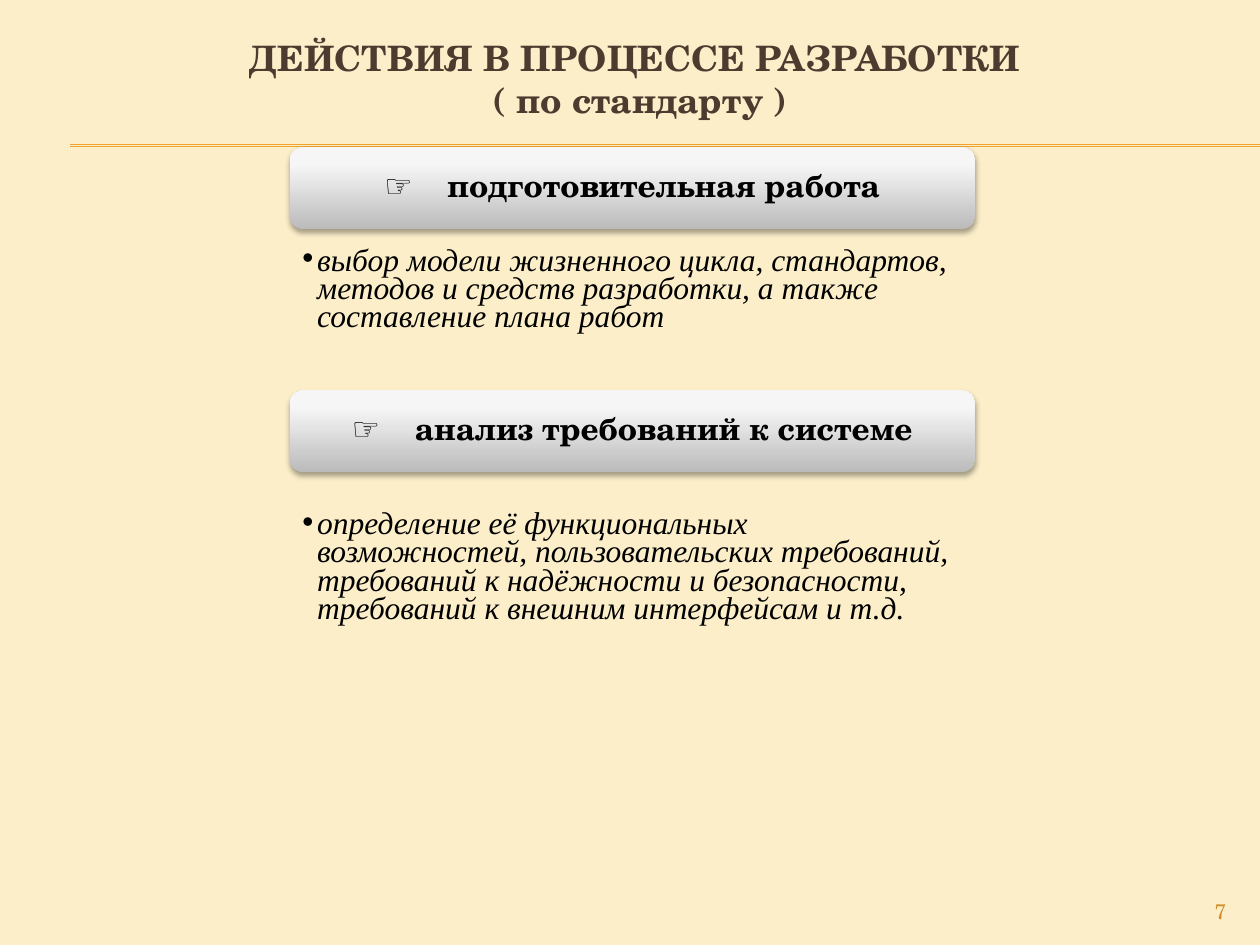
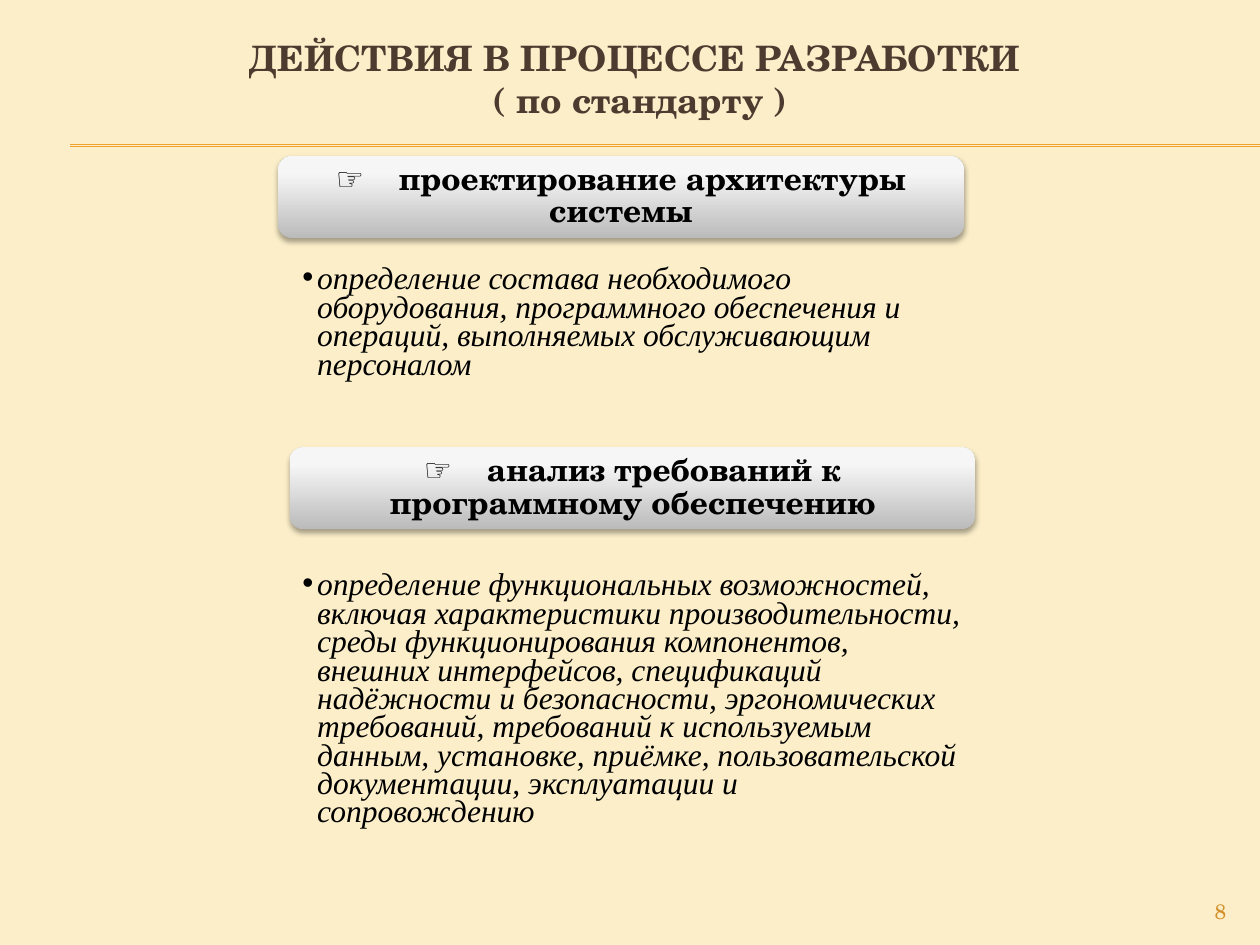
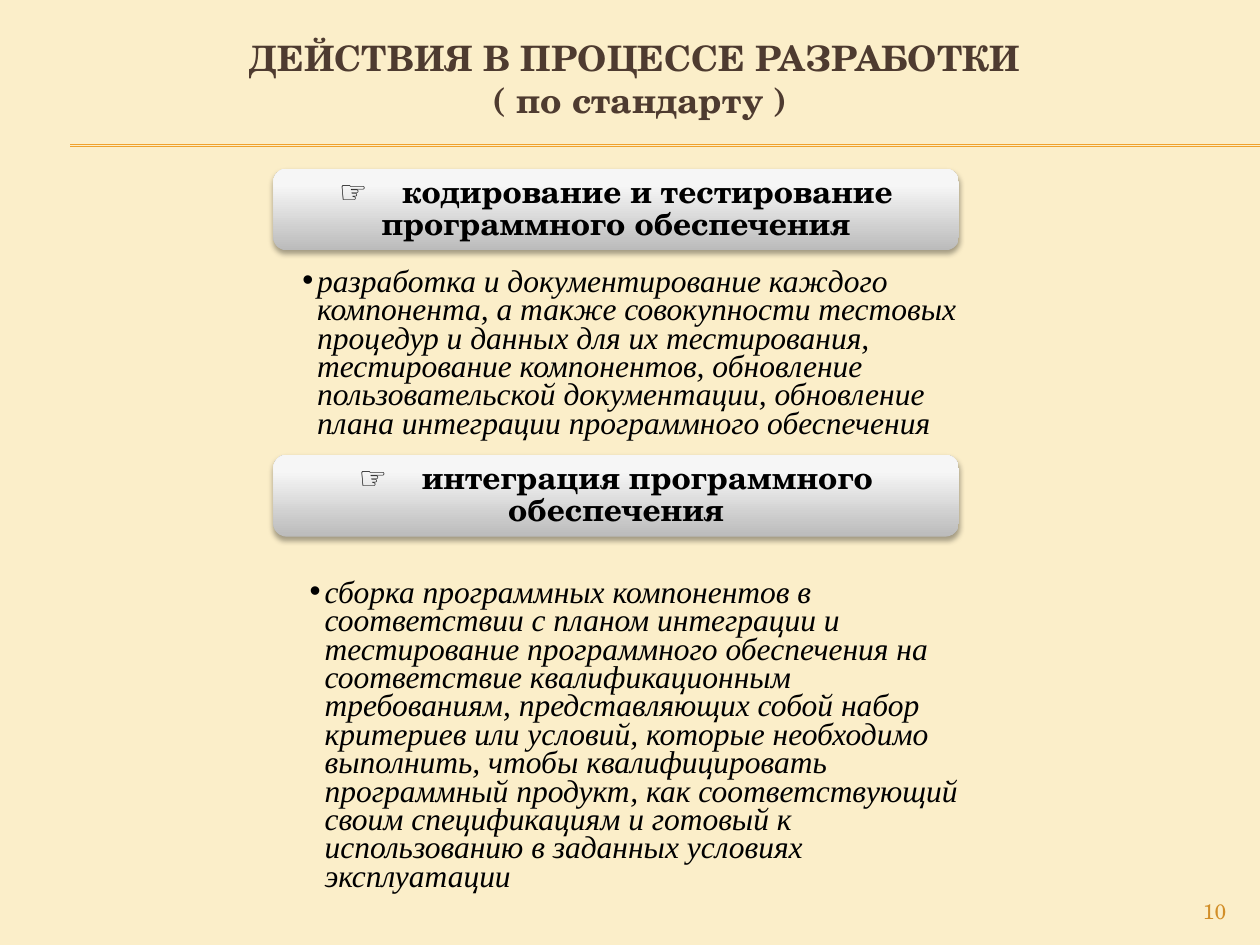
"""Builds three slides on the activities of the development process."""
from pptx import Presentation
from pptx.dml.color import RGBColor
from pptx.enum.shapes import MSO_CONNECTOR, MSO_SHAPE
from pptx.enum.text import MSO_ANCHOR, MSO_AUTO_SIZE, PP_ALIGN
from pptx.oxml import parse_xml
from pptx.oxml.ns import nsdecls
from pptx.util import Cm, Pt

COLORS = {
    "background": "FBEEC9",
    "rule": "F0A22E",
    "number": "D28E28",
    "title": "4E3B30",
    "text": "000000",
    "shadow": "000000",
    "band_dark": "BBBBBB",
    "band_light": "F6F6F6",
    "band_edge": "F7F7F7",
}
SERIF = "TeX Gyre Schola"
ROMAN = "Times New Roman"
TITLE = "ДЕЙСТВИЯ В ПРОЦЕССЕ РАЗРАБОТКИ \v( по стандарту )"
BAND_WIDTH, BAND_HEIGHT = 13.82, 1.65

SLIDES = [
    (7, [
        ("подготовительная работа", (5.84, 2.97),
         "выбор модели жизненного цикла, стандартов, методов и средств "
         "разработки, а также составление плана работ", (5.84, 4.88, 1.65)),
        ("анализ требований к системе", (5.84, 7.87),
         "определение её функциональных возможностей, пользовательских "
         "требований, требований к надёжности и безопасности, требований "
         "к внешним интерфейсам и т.д.", (5.84, 10.19, 1.65)),
    ]),
    (8, [
        ("проектирование архитектуры системы", (5.61, 3.15),
         "определение состава необходимого оборудования, программного "
         "обеспечения и операций, выполняемых обслуживающим персоналом",
         (5.84, 5.26, 2.46)),
        ("анализ требований к программному обеспечению", (5.84, 9.02),
         "определение функциональных возможностей, включая характеристики "
         "производительности, среды функционирования компонентов, внешних "
         "интерфейсов, спецификаций надёжности и безопасности, "
         "эргономических требований, требований к используемым данным, "
         "установке, приёмке, пользовательской документации, эксплуатации "
         "и сопровождению", (5.84, 11.43, 5.46)),
    ]),
    (10, [
        ("кодирование и тестирование программного обеспечения", (5.51, 3.4),
         "разработка и документирование каждого компонента, а также "
         "совокупности тестовых процедур и данных для их тестирования, "
         "тестирование компонентов, обновление пользовательской "
         "документации, обновление плана интеграции программного "
         "обеспечения", (5.84, 5.31, 1.65)),
        ("интеграция программного обеспечения", (5.51, 9.17),
         "сборка программных компонентов в соответствии с планом "
         "интеграции и тестирование программного обеспечения на "
         "соответствие квалификационным требованиям, представляющих собой "
         "набор критериев или условий, которые необходимо выполнить, чтобы "
         "квалифицировать программный продукт, как соответствующий своим "
         "спецификациям и готовый к использованию в заданных условиях "
         "эксплуатации", (5.99, 11.58, 1.65)),
    ]),
]


class Deck:
    """Holds the shared style and the current slide."""

    def __init__(self):
        self.presentation = Presentation()
        self.presentation.slide_width = Cm(25.4)
        self.presentation.slide_height = Cm(19.05)
        fill = self.presentation.slide_master.background.fill
        fill.solid()
        fill.fore_color.rgb = self.color("background")
        self.slide = None

    def color(self, name):
        """Returns a named colour."""
        return RGBColor.from_string(COLORS[name])

    def place(self, shape, left, top, width, height):
        """Moves and sizes a shape, in centimetres."""
        shape.left, shape.top = Cm(left), Cm(top)
        shape.width, shape.height = Cm(width), Cm(height)

    def format(self, paragraph, size, color, font=SERIF, align=PP_ALIGN.CENTER, spacing=1.0):
        """Sets the font, alignment and spacing of a paragraph."""
        paragraph.font.size = Pt(size)
        paragraph.font.name = font
        paragraph.font.color.rgb = self.color(color)
        paragraph.alignment = align
        paragraph.line_spacing = spacing
        paragraph.space_before = paragraph.space_after = Pt(0)

    def add_slide(self, number):
        """Starts a slide with its rules, number and title."""
        layout = self.presentation.slide_layouts.get_by_name("Two Content")
        self.slide = self.presentation.slides.add_slide(layout)
        for top in (2.92, 2.95):
            self.add_rule(top)
        self.add_number(number)
        self.add_title(TITLE)

    def add_rule(self, top):
        """Draws a rule that runs to the right edge."""
        rule = self.slide.shapes.add_connector(
            MSO_CONNECTOR.STRAIGHT, Cm(1.42), Cm(top), Cm(25.4), Cm(top))
        rule.line.color.rgb = self.color("rule")
        rule.line.width = Pt(0.75)
        rule.line._get_or_add_ln().addnext(parse_xml(f"<a:effectLst {nsdecls('a')}/>"))

    def add_number(self, number):
        """Writes the slide number."""
        box = self.slide.shapes.add_textbox(Cm(22.86), Cm(17.98), Cm(2.11), Cm(0.69))
        box.text_frame.word_wrap = True
        box.text_frame.text = str(number)
        self.format(box.text_frame.paragraphs[0], 12, "number", align=PP_ALIGN.RIGHT)

    def add_title(self, text):
        """Fills the title placeholder."""
        title = self.slide.shapes.title
        self.place(title, 0.84, 0.41, 24.13, 2.34)
        frame = title.text_frame
        frame.auto_size = MSO_AUTO_SIZE.NONE
        frame.vertical_anchor = MSO_ANCHOR.MIDDLE
        paragraph = frame.paragraphs[0]
        paragraph.text = text
        self.format(paragraph, 20, "title")
        paragraph.font.bold = True

    def add_band(self, text, left, top):
        """Draws a rounded gradient band with a heading."""
        band = self.slide.shapes.add_shape(
            MSO_SHAPE.ROUNDED_RECTANGLE, Cm(left), Cm(top), Cm(BAND_WIDTH), Cm(BAND_HEIGHT))
        band.line.fill.background()
        band.shadow.inherit = False
        stops = "".join(
            f'<a:gs pos="{position}"><a:srgbClr val="{COLORS[name]}"/></a:gs>'
            for position, name in ((0, "band_dark"), (80000, "band_light"), (100000, "band_edge")))
        properties = band._element.spPr
        properties.find("{*}ln").addprevious(parse_xml(
            f'<a:gradFill {nsdecls("a")} rotWithShape="1"><a:gsLst>{stops}</a:gsLst>'
            '<a:lin ang="16200000" scaled="0"/></a:gradFill>'))
        properties.find("{*}effectLst").append(parse_xml(
            f'<a:outerShdw {nsdecls("a")} blurRad="{Pt(3.1)}" dist="{Pt(1.8)}" dir="5400000" '
            f'rotWithShape="0"><a:srgbClr val="{COLORS["shadow"]}"><a:alpha val="35000"/>'
            '</a:srgbClr></a:outerShdw>'))
        frame = band.text_frame
        frame.word_wrap = True
        frame.vertical_anchor = MSO_ANCHOR.MIDDLE
        paragraph = frame.paragraphs[0]
        self.format(paragraph, 18, "text", spacing=0.85)
        paragraph.add_run().text = "☞\t"
        heading = paragraph.add_run()
        heading.text = text
        heading.font.bold = True

    def add_list(self, index, text, left, top, height):
        """Fills a body placeholder with one bullet."""
        body = self.slide.placeholders[index]
        self.place(body, left, top, BAND_WIDTH, height)
        frame = body.text_frame
        frame.auto_size = MSO_AUTO_SIZE.NONE
        frame.vertical_anchor = MSO_ANCHOR.TOP
        paragraph = frame.paragraphs[0]
        paragraph.text = text
        paragraph.level = 1
        self.format(paragraph, 18, "text", ROMAN, PP_ALIGN.LEFT, 0.75)
        paragraph.font.italic = True
        properties = paragraph._p.get_or_add_pPr()
        properties.set("marL", str(Cm(0.3)))
        properties.set("indent", str(Cm(-0.3)))
        properties.find("{*}defRPr").addprevious(
            parse_xml(f'<a:buChar {nsdecls("a")} char="•"/>'))


def main():
    """Builds and saves the slides."""
    deck = Deck()
    for number, sections in SLIDES:
        deck.add_slide(number)
        for index, (heading, band_place, detail, list_place) in enumerate(sections, start=1):
            deck.add_band(heading, *band_place)
            deck.add_list(index, detail, *list_place)
    deck.presentation.save("out.pptx")


if __name__ == "__main__":
    main()
